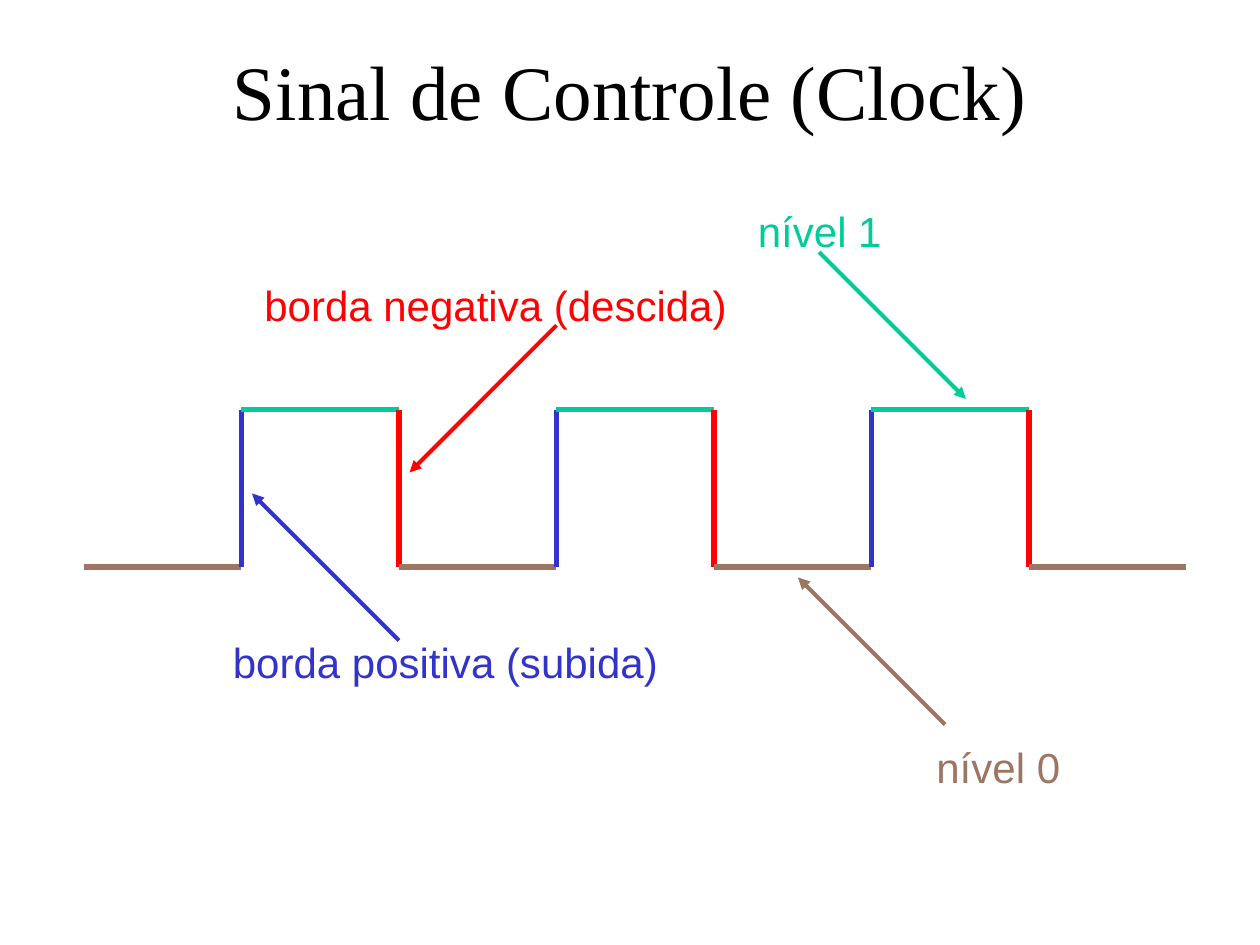
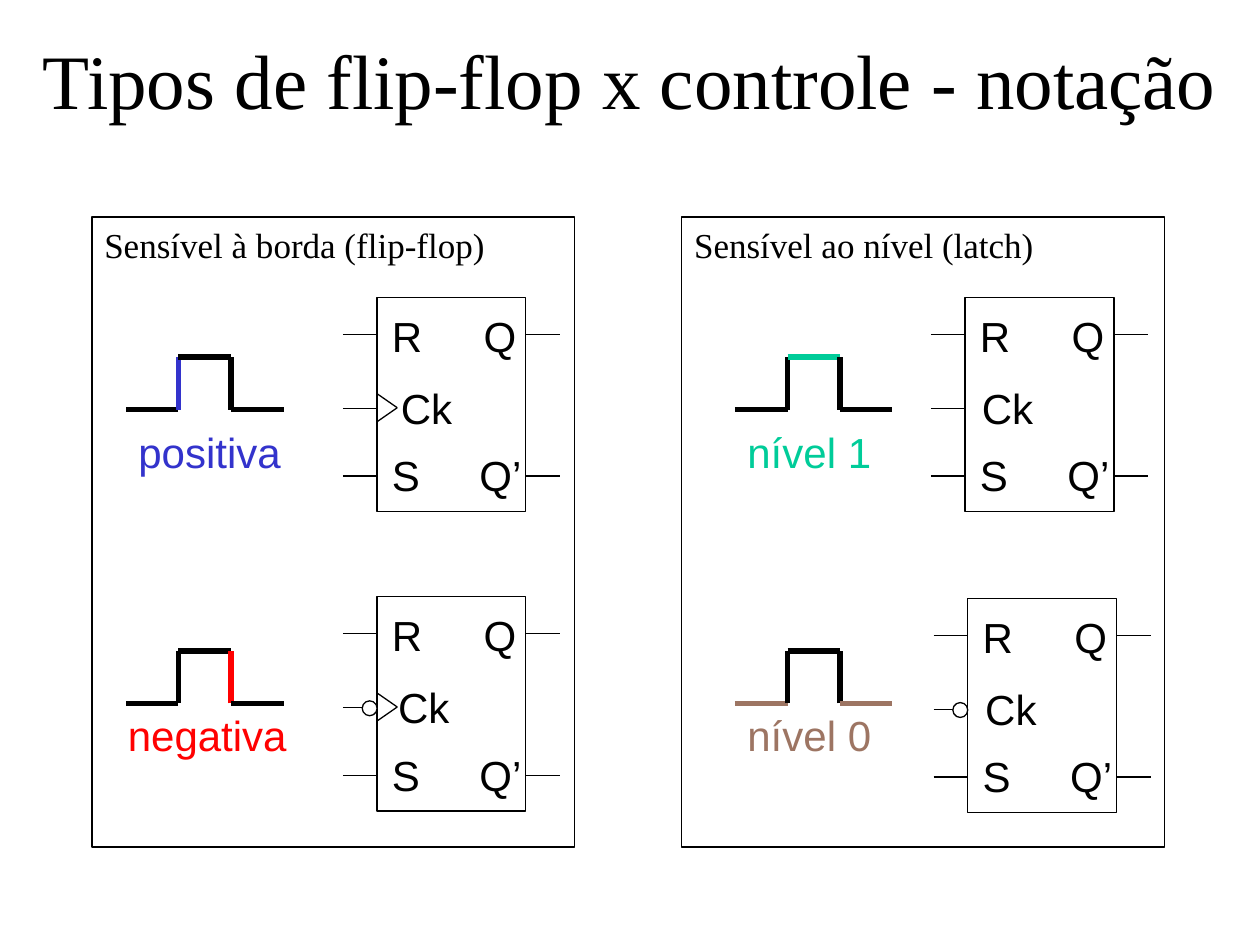
from dataclasses import dataclass

from lxml.etree import SubElement
from pptx import Presentation
from pptx.dml.color import RGBColor
from pptx.enum.shapes import MSO_CONNECTOR, MSO_SHAPE
from pptx.enum.text import MSO_ANCHOR, PP_ALIGN
from pptx.oxml.ns import qn
from pptx.shapes.autoshape import Shape
from pptx.slide import Slide
from pptx.util import Pt

COLOURS = {
    "ink": "000000",
    "paper": "FFFFFF",
    "rise": "3333CC",
    "fall": "FF0101",
    "high": "00CC99",
    "low": "9D7563",
}
SERIF = "Times New Roman"
SANS = "Arial"
THIN, ARROW, SIGNAL = 0.75, 2.25, 3
BODY_WIDTH, BODY_HEIGHT = 85, 122.5
LEAD = 19.5
INSETS = (7.2, 3.6)


@dataclass(frozen=True)
class SignalColours:
    low: str = "ink"
    rise: str = "ink"
    high: str = "ink"
    fall: str = "ink"


@dataclass(frozen=True)
class Label:
    text: str
    colour: str
    left: float
    top: float
    width: float


@dataclass(frozen=True)
class Pointer:
    colour: str
    start: tuple[float, float]
    end: tuple[float, float]


@dataclass(frozen=True)
class FlipFlop:
    left: float
    top: float
    clock_indent: float
    edge: bool = False
    inverted: bool = False


@dataclass(frozen=True)
class Pulse:
    left: float
    low_y: float
    colours: SignalColours


@dataclass(frozen=True)
class Panel:
    heading: str
    left: float
    pulses: list[Pulse]
    labels: list[Label]
    symbols: list[FlipFlop]


CLOCK = SignalColours("low", "rise", "high", "fall")
CLOCK_LABELS = [
    Label("nível 0", "low", 528, 420, 90),
    Label("nível 1", "high", 426, 114, 90),
    Label("borda positiva (subida)", "rise", 126, 360, 264),
    Label("borda negativa (descida)", "fall", 144, 156, 282),
]
CLOCK_POINTERS = [
    Pointer("high", (468, 144), (552, 228)),
    Pointer("low", (540, 414), (456, 330)),
    Pointer("fall", (318, 186), (234, 270)),
    Pointer("rise", (228, 366), (144, 282)),
]
PANELS = [
    Panel(
        "Sensível à borda (flip-flop)",
        52.5,
        [
            Pulse(72, 234, SignalColours(rise="rise")),
            Pulse(72, 402, SignalColours(fall="fall")),
        ],
        [
            Label("positiva", "rise", 72, 240, 96),
            Label("negativa", "fall", 66, 402, 108),
        ],
        [
            FlipFlop(215.5, 170, 13.5, edge=True),
            FlipFlop(215.5, 341, 12, edge=True, inverted=True),
        ],
    ),
    Panel(
        "Sensível ao nível (latch)",
        389.5,
        [
            Pulse(420, 234, SignalColours(high="high")),
            Pulse(420, 402, SignalColours(low="low")),
        ],
        [
            Label("nível 1", "high", 420, 240, 96),
            Label("nível 0", "low", 420, 402, 96),
        ],
        [FlipFlop(551.5, 170, 9.5), FlipFlop(553, 342, 10, inverted=True)],
    ),
]


def rgb(name: str) -> RGBColor:
    return RGBColor.from_string(COLOURS[name])


def write(
    box: Shape,
    text: str,
    *,
    size: float = 24,
    font: str = SANS,
    colour: str = "ink",
    align: PP_ALIGN = PP_ALIGN.LEFT,
    anchor: MSO_ANCHOR = MSO_ANCHOR.TOP,
    insets: tuple[float, float] = INSETS,
) -> None:
    frame = box.text_frame
    frame.word_wrap = True
    frame.vertical_anchor = anchor
    frame.margin_left = frame.margin_right = Pt(insets[0])
    frame.margin_top = frame.margin_bottom = Pt(insets[1])
    para = frame.paragraphs[0]
    para.alignment = align
    span = para.add_run()
    span.text = text
    span.font.size = Pt(size)
    span.font.name = font
    span.font.color.rgb = rgb(colour)


def add_text(
    page: Slide, text: str, left: float, top: float, width: float, height: float, **style
) -> None:
    box = page.shapes.add_textbox(Pt(left), Pt(top), Pt(width), Pt(height))
    write(box, text, **style)


def add_title(
    page: Slide, text: str, left: float, top: float, width: float
) -> None:
    add_text(
        page, text, left, top, width, 90,
        size=44, font=SERIF, align=PP_ALIGN.CENTER, anchor=MSO_ANCHOR.MIDDLE,
    )


def add_label(page: Slide, label: Label) -> None:
    add_text(
        page, label.text, label.left, label.top, label.width, 36, colour=label.colour
    )


def add_line(
    page: Slide,
    start: tuple[float, float],
    end: tuple[float, float],
    colour: str = "ink",
    weight: float = THIN,
    arrow: bool = False,
) -> None:
    line = page.shapes.add_connector(
        MSO_CONNECTOR.STRAIGHT, *(Pt(value) for value in (*start, *end))
    )
    line.line.color.rgb = rgb(colour)
    line.line.width = Pt(weight)
    if arrow:
        SubElement(line.get_or_add_ln(), qn("a:tailEnd"), type="triangle")
    SubElement(line._element.spPr, qn("a:effectLst"))


def add_outline(
    page: Slide,
    kind: MSO_SHAPE,
    left: float,
    top: float,
    width: float,
    height: float,
    filled: bool = True,
) -> Shape:
    shape = page.shapes.add_shape(kind, Pt(left), Pt(top), Pt(width), Pt(height))
    shape.shadow.inherit = False
    if filled:
        shape.fill.solid()
        shape.fill.fore_color.rgb = rgb("paper")
    else:
        shape.fill.background()
    shape.line.color.rgb = rgb("ink")
    shape.line.width = Pt(THIN)
    return shape


def add_signal(
    page: Slide, left: float, low_y: float, step: float, count: int, colours: SignalColours
) -> None:
    """Draw square pulses that start and end at the low level."""
    high_y = low_y - step
    for index in range(count):
        start = left + 2 * index * step
        rise, fall = start + step, start + 2 * step
        add_line(page, (start, low_y), (rise, low_y), colours.low, SIGNAL)
        add_line(page, (rise, low_y), (rise, high_y), colours.rise, SIGNAL)
        add_line(page, (rise, high_y), (fall, high_y), colours.high, SIGNAL)
        add_line(page, (fall, low_y), (fall, high_y), colours.fall, SIGNAL)
    end = left + 2 * count * step
    add_line(page, (end, low_y), (end + step, low_y), colours.low, SIGNAL)


def add_flip_flop(page: Slide, symbol: FlipFlop) -> None:
    left, top = symbol.left, symbol.top
    clock_y = top + 63.5
    for lead_y in (top + 21, top + 102):
        add_line(page, (left - LEAD, lead_y), (left + BODY_WIDTH + LEAD, lead_y))
    add_outline(page, MSO_SHAPE.RECTANGLE, left, top, BODY_WIDTH, BODY_HEIGHT)

    pins = [
        ("R", 8.5, 7.5, 21.5, PP_ALIGN.LEFT),
        ("S", 8.5, 87, 21.5, PP_ALIGN.LEFT),
        ("Q", 59.5, 7.5, 21.5, PP_ALIGN.CENTER),
        ("Q’", 57.5, 87, 26, PP_ALIGN.CENTER),
        ("Ck", symbol.clock_indent, 48.5, 39.5, PP_ALIGN.LEFT),
    ]
    for name, across, down, width, align in pins:
        add_text(
            page, name, left + across, top + down, width, 29, align=align, insets=(0, 0)
        )

    add_line(page, (left - LEAD, clock_y), (left, clock_y))
    if symbol.inverted:
        add_outline(page, MSO_SHAPE.OVAL, left - 8.5, clock_y - 4, 8.5, 8.5)
    if symbol.edge:
        for offset in (-8, 8):
            add_line(page, (left, clock_y - 0.5 + offset), (left + 11.5, clock_y - 0.5))


def add_panel(page: Slide, panel: Panel) -> None:
    frame = add_outline(
        page, MSO_SHAPE.RECTANGLE, panel.left, 124, 276, 360, filled=False
    )
    write(frame, panel.heading, size=20, font=SERIF)
    for symbol in panel.symbols:
        add_flip_flop(page, symbol)
    for pulse in panel.pulses:
        add_signal(page, pulse.left, pulse.low_y, 30, 1, pulse.colours)
    for label in panel.labels:
        add_label(page, label)


def build_clock(page: Slide) -> None:
    add_title(page, "Sinal de Controle (Clock)", 54, 6, 612)
    add_signal(page, 48, 324, 90, 3, CLOCK)
    for label in CLOCK_LABELS:
        add_label(page, label)
    for pointer in CLOCK_POINTERS:
        add_line(page, pointer.start, pointer.end, pointer.colour, ARROW, arrow=True)


def build_notation(page: Slide) -> None:
    add_title(page, "Tipos de flip-flop x controle - notação", 0, 0, 720)
    for panel in PANELS:
        add_panel(page, panel)


def main() -> None:
    deck = Presentation()
    deck.slide_width, deck.slide_height = Pt(720), Pt(540)
    blank = deck.slide_layouts[6]
    for build in (build_clock, build_notation):
        build(deck.slides.add_slide(blank))
    deck.save("out.pptx")


if __name__ == "__main__":
    main()
